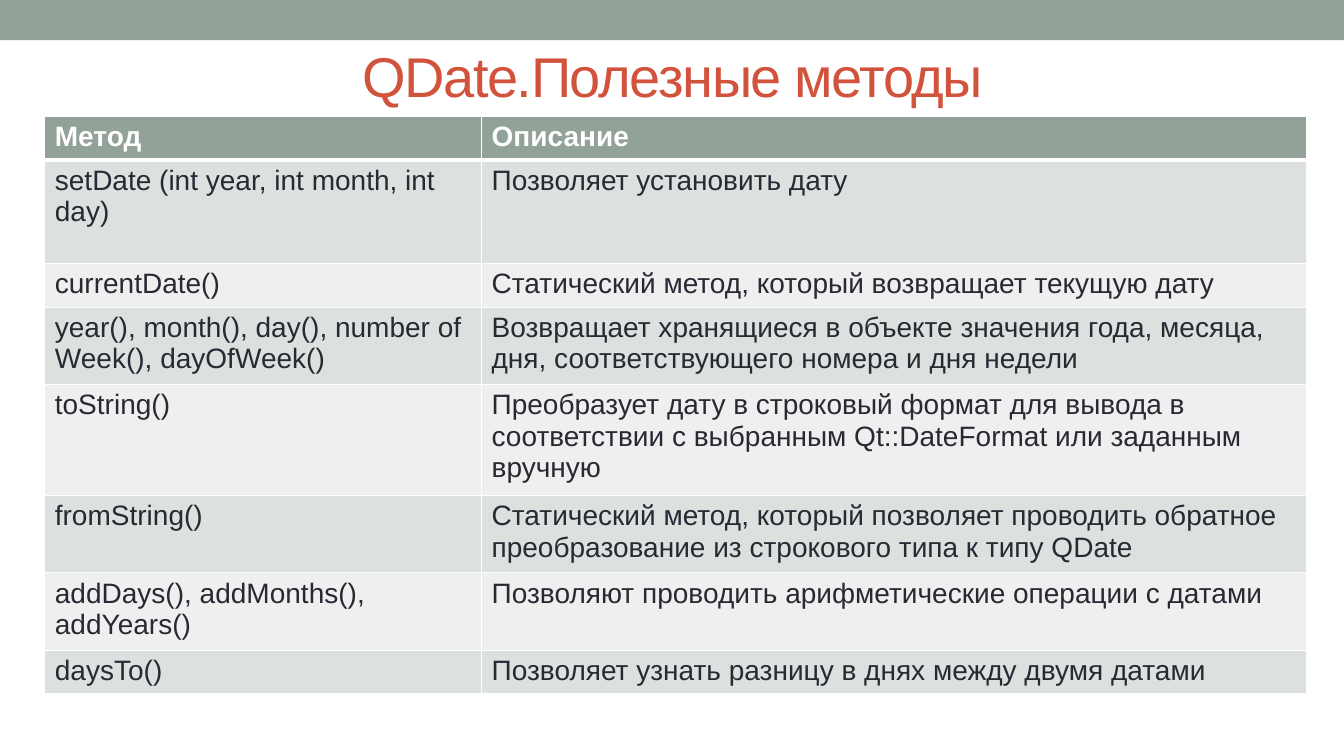
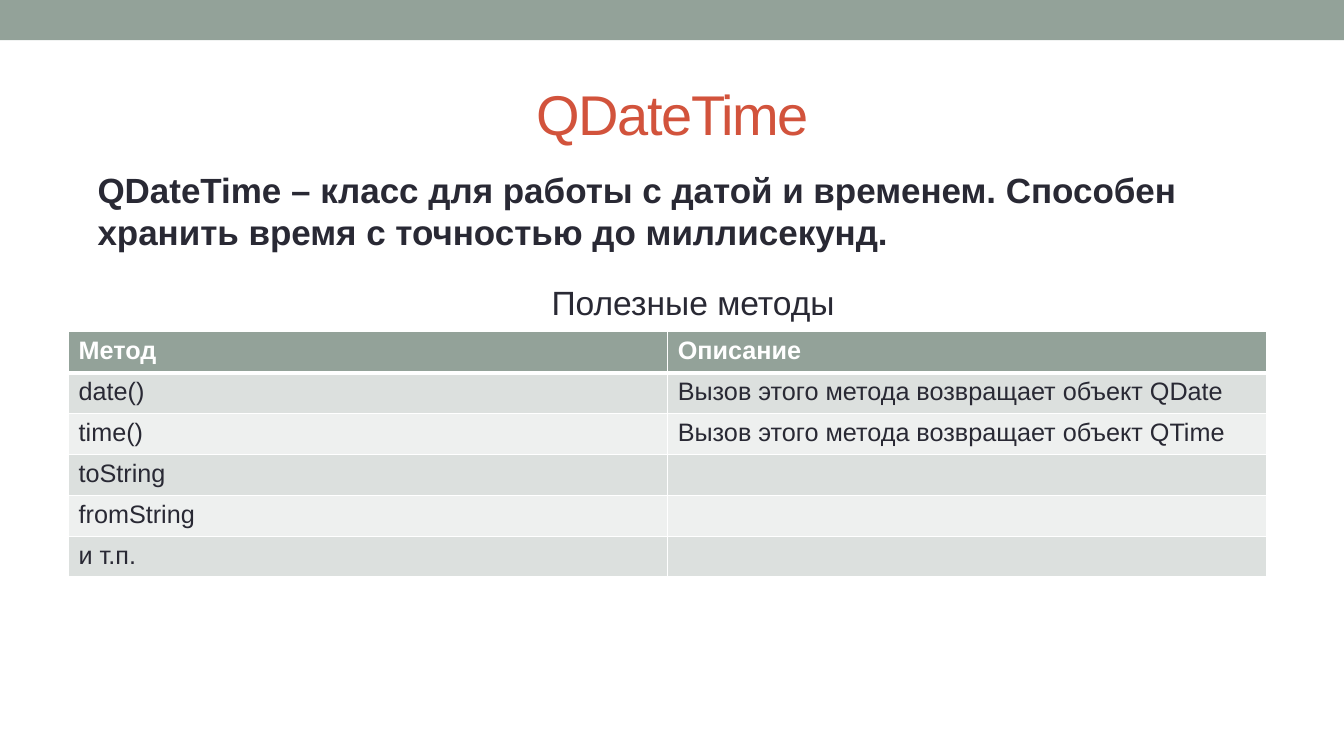
"""Build two slides on the date and time classes, each with a table of methods."""
from lxml.etree import SubElement as Sub
from pptx import Presentation
from pptx.dml.color import RGBColor as RGB
from pptx.enum.shapes import MSO_SHAPE as Shape
from pptx.enum.text import MSO_ANCHOR as Anchor, PP_ALIGN as Align
from pptx.oxml.ns import qn
from pptx.util import Pt

WIDE, HIGH = 960, 540
SAGE, RED, DARK, WHITE = "93A299", "D2533C", "292934", "FFFFFF"
BANDS = ["EEF0EF", "DCE0DE"]
ROW = 29.2

SLIDES = [
    {
        "title": "QDate.Полезные методы",
        "top": 15,
        "notes": [],
        "at": (32, 83),
        "cols": [312, 589.5],
        "size": 20,
        "rows": [
            (ROW, "Метод", "Описание"),
            (74, "setDate (int year, int month, int day)", "Позволяет установить дату"),
            (ROW, "currentDate()", "Статический метод, который возвращает текущую дату"),
            (52, "year(), month(), day(), number of Week(), dayOfWeek()",
             "Возвращает хранящиеся в объекте значения года, месяца, дня, "
             "соответствующего номера и дня недели"),
            (74, "toString()",
             "Преобразует дату в строковый формат для вывода в соответствии "
             "с выбранным Qt::DateFormat или заданным вручную"),
            (52, "fromString()",
             "Статический метод, который позволяет проводить обратное "
             "преобразование из строкового типа к типу QDate"),
            (52, "addDays(), addMonths(), addYears()",
             "Позволяют проводить арифметические операции с датами"),
            (ROW, "daysTo()", "Позволяет узнать разницу в днях между двумя датами"),
        ],
    },
    {
        "title": "QDateTime",
        "top": 42,
        "notes": [
            (117, 68, 25, True, Align.LEFT,
             "QDateTime – класс для работы с датой и временем. "
             "Способен хранить время с точностью до миллисекунд."),
            (198, 36, 24, False, Align.CENTER, "Полезные методы"),
        ],
        "at": (49, 237),
        "cols": [428, 428],
        "size": 18,
        "rows": [
            (ROW, "Метод", "Описание"),
            (ROW, "date()", "Вызов этого метода возвращает объект QDate"),
            (ROW, "time()", "Вызов этого метода возвращает объект QTime"),
            (ROW, "toString", ""),
            (ROW, "fromString", ""),
            (ROW, "и т.п.", ""),
        ],
    },
]


def paint(fill, tone):
    fill.solid()
    fill.fore_color.rgb = RGB.from_string(tone)


def write(frame, text, size, tone, bold=False, align=Align.LEFT):
    frame.word_wrap = True
    para = frame.paragraphs[0]
    para.alignment = align
    run = para.add_run()
    run.text = text
    font = run.font
    font.name, font.size, font.bold = "Arial", Pt(size), bold
    font.color.rgb = RGB.from_string(tone)
    return run


deck = Presentation()
deck.slide_width, deck.slide_height = Pt(WIDE), Pt(HIGH)

for data in SLIDES:
    slide = deck.slides.add_slide(deck.slide_layouts[6])
    shapes = slide.shapes

    band = shapes.add_shape(Shape.RECTANGLE, 0, 0, Pt(WIDE), Pt(28.8))
    band.shadow.inherit = False
    band.line.fill.background()
    paint(band.fill, SAGE)

    title = shapes.add_textbox(Pt(48.5), Pt(data["top"]), Pt(864), Pt(78)).text_frame
    title.vertical_anchor = Anchor.MIDDLE
    run = write(title, data["title"], 40, RED, align=Align.CENTER)
    run.font._element.set("spc", "-100")

    for top, high, size, bold, align, text in data["notes"]:
        box = shapes.add_textbox(Pt(62.6), Pt(top), Pt(865), Pt(high))
        write(box.text_frame, text, size, DARK, bold, align)

    rows, cols = data["rows"], data["cols"]
    left, top = data["at"]
    high = sum(row[0] for row in rows)
    table = shapes.add_table(len(rows), len(cols), Pt(left), Pt(top),
                             Pt(sum(cols)), Pt(high)).table
    for col, width in zip(table.columns, cols):
        col.width = Pt(width)
    for r, (high, *texts) in enumerate(rows):
        table.rows[r].height = Pt(high)
        head = r == 0
        for c, text in enumerate(texts):
            cell = table.cell(r, c)
            props = cell._tc.get_or_add_tcPr()
            for side in "LRTB":
                thick = (r, side) in [(0, "B"), (1, "T")]
                edge = Sub(props, qn(f"a:ln{side}"), w=str(Pt(3 if thick else 1)))
                Sub(Sub(edge, qn("a:solidFill")), qn("a:srgbClr"), val=WHITE)
            paint(cell.fill, SAGE if head else BANDS[r % 2])
            if text:
                write(cell.text_frame, text, data["size"], WHITE if head else DARK, head)

deck.save("out.pptx")
